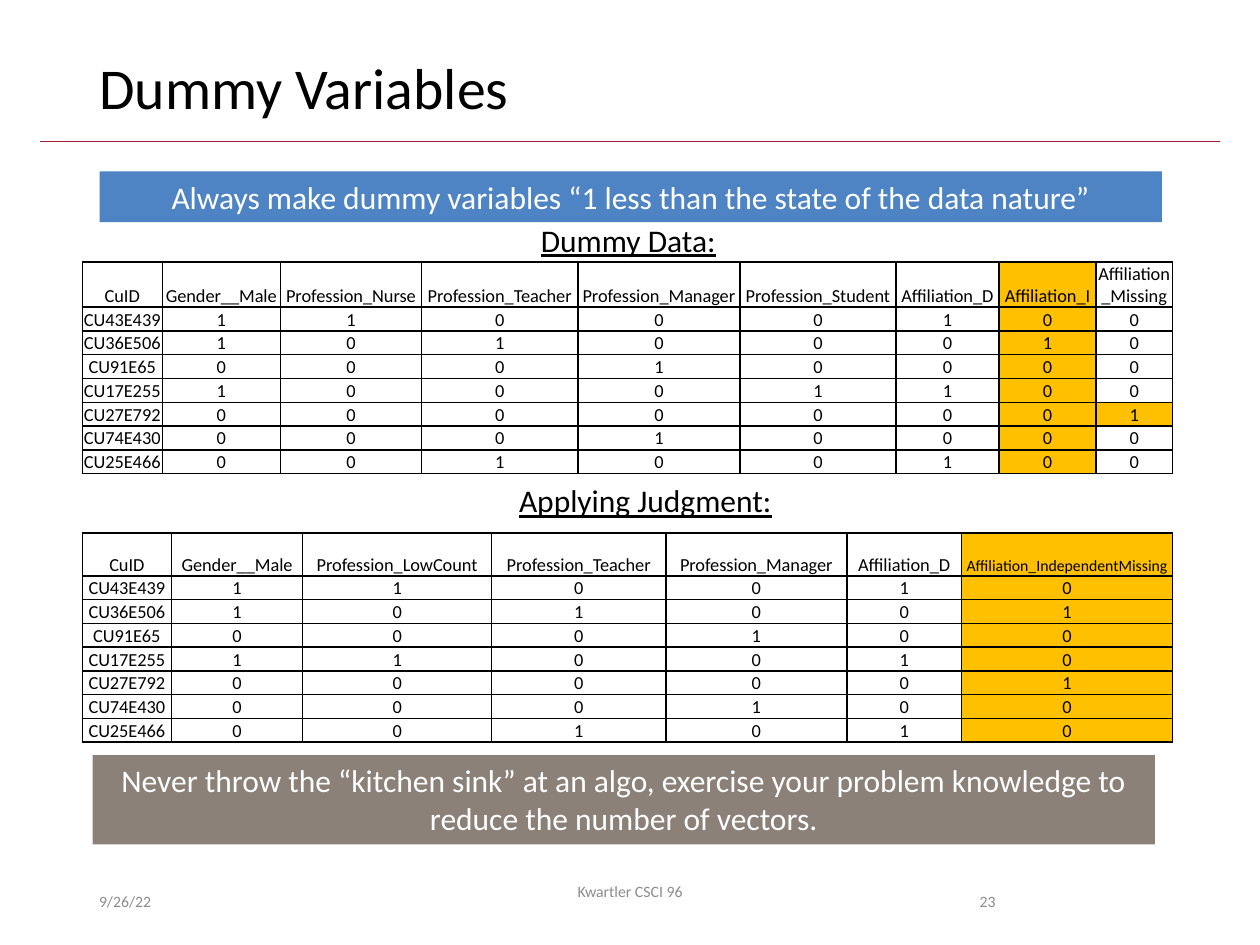
import pptx
import pptx.dml.color
import pptx.enum.shapes
import pptx.enum.text
import pptx.oxml
import pptx.oxml.ns
import pptx.util

Pt = pptx.util.Pt
ALIGN = pptx.enum.text.PP_ALIGN
ANCHOR = pptx.enum.text.MSO_ANCHOR
COLORS = {"black": "000000", "white": "FFFFFF", "gray": "8C8C8C", "rule": "A51C30",
          "blue": "4E84C4", "taupe": "8C8179", "amber": "FFC000"}

TITLE = "Dummy Variables"
# text, fill, left, top, width, height
BANNERS = [
    ("Always make dummy variables “1 less than the state of the data nature”",
     "blue", 57, 98, 607, 29),
    ("Never throw the “kitchen sink” at an algo, exercise your problem knowledge "
     "to reduce the number of vectors.", "taupe", 53, 431.5, 607, 51),
]
# text, left, top, width, height, wrap, anchor, alignment, font
HEADING = {"size": Pt(18), "underline": True}
FOOTER = {"size": Pt(9), "color": "gray"}
LABELS = [
    ("Dummy Data:", 302, 122.5, 116, 29, False, ANCHOR.TOP, ALIGN.LEFT, HEADING),
    ("Applying Judgment:", 289.5, 271.5, 165, 29, False, ANCHOR.TOP, ALIGN.LEFT, HEADING),
    ("9/26/22", 49.5, 500.5, 162, 28.75, True, ANCHOR.MIDDLE, ALIGN.LEFT, FOOTER),
    ("Kwartler CSCI 96", 238.5, 500.5, 243, 28.75, True, ANCHOR.TOP, ALIGN.CENTER, FOOTER),
    ("23", 508.5, 500.5, 67.5, 28.75, True, ANCHOR.MIDDLE, ALIGN.RIGHT, FOOTER),
]
IDS = ["CU43E439", "CU36E506", "CU91E65", "CU17E255", "CU27E792", "CU74E430", "CU25E466"]
# flags: one string per ID, one digit per variable; highlights: (row, column), row None = all
TABLES = [
    {"top": 149.75, "header_height": 25.8,
     "columns": [("CuID", 45.75), ("Gender__Male", 67.5), ("Profession_Nurse", 80.75),
                 ("Profession_Teacher", 89.25), ("Profession_Manager", 92.75),
                 ("Profession_Student", 89), ("Affiliation_D", 59),
                 ("Affiliation_I", 55.5), ("Affiliation_Missing", 43.5)],
     "flags": ["11000100", "10100010", "00010000", "10001100",
               "00000001", "00010000", "00100100"],
     "highlights": [(None, 7), (5, 8)], "small": []},
    {"top": 304.5, "header_height": 24.6,
     "columns": [("CuID", 51), ("Gender__Male", 75), ("Profession_LowCount", 108),
                 ("Profession_Teacher", 99.5), ("Profession_Manager", 103.5),
                 ("Affiliation_D", 65.5), ("Affiliation_IndependentMissing", 120.5)],
     "flags": ["110010", "101001", "000100", "110010", "000001", "000100", "001010"],
     "highlights": [(None, 6)], "small": ["Affiliation_IndependentMissing"]},
]
TABLE_LEFT, ROW_HEIGHT = 47, 13.6
CELL_FORMAT = {"margin_left": Pt(0.6), "margin_right": Pt(0.6), "margin_top": Pt(0.6),
               "margin_bottom": 0, "vertical_anchor": ANCHOR.BOTTOM}


def rgb(name):
    return pptx.dml.color.RGBColor.from_string(COLORS[name])


def apply(target, values):
    for name, value in values.items():
        setattr(target, name, value)


def write(text_frame, text, alignment, color="black", **font_values):
    text_frame.text = text
    paragraph = text_frame.paragraphs[0]
    paragraph.alignment = alignment
    font = paragraph.runs[0].font
    apply(font, {"name": "Calibri", **font_values})
    font.color.rgb = rgb(color)
    return paragraph


def add_borders(cell):
    properties = cell._tc.get_or_add_tcPr()
    for side in ("lnL", "lnR", "lnT", "lnB"):
        properties.append(pptx.oxml.parse_xml(
            f'<a:{side} {pptx.oxml.ns.nsdecls("a")} w="12700"><a:solidFill>'
            f'<a:srgbClr val="{COLORS["black"]}"/></a:solidFill></a:{side}>'))


def add_data_table(slide, top, header_height, columns, flags, highlights, small):
    rows = [[name for name, _ in columns]]
    rows += [[identifier, *digits] for identifier, digits in zip(IDS, flags)]
    heights = [header_height] + [ROW_HEIGHT] * len(IDS)
    widths = [width for _, width in columns]
    table = slide.shapes.add_table(len(rows), len(columns), Pt(TABLE_LEFT), Pt(top),
                                   Pt(sum(widths)), Pt(sum(heights))).table
    apply(table, {"first_row": False, "horz_banding": False})
    for column, width in zip(table.columns, widths):
        column.width = Pt(width)
    for row_index, row in enumerate(rows):
        table.rows[row_index].height = Pt(heights[row_index])
        for column_index, text in enumerate(row):
            cell = table.cell(row_index, column_index)
            apply(cell, CELL_FORMAT)
            add_borders(cell)
            if {(None, column_index), (row_index, column_index)} & set(highlights):
                cell.fill.solid()
                cell.fill.fore_color.rgb = rgb("amber")
            else:
                cell.fill.background()
            write(cell.text_frame, text, ALIGN.CENTER, size=Pt(9 if text in small else 10.5))


def add_banner(slide, text, fill, *box):
    shape = slide.shapes.add_shape(pptx.enum.shapes.MSO_SHAPE.RECTANGLE, *map(Pt, box))
    shape.shadow.inherit = False
    shape.fill.solid()
    shape.fill.fore_color.rgb = rgb(fill)
    shape.line.fill.background()
    apply(shape.text_frame, {"word_wrap": True, "vertical_anchor": ANCHOR.TOP})
    write(shape.text_frame, text, ALIGN.CENTER, "white", size=Pt(18))


def add_label(slide, text, left, top, width, height, wrap, anchor, alignment, font):
    frame = slide.shapes.add_textbox(Pt(left), Pt(top), Pt(width), Pt(height)).text_frame
    apply(frame, {"word_wrap": wrap, "vertical_anchor": anchor})
    write(frame, text, alignment, **font)


def add_rule(slide):
    rule = slide.shapes.add_connector(pptx.enum.shapes.MSO_CONNECTOR.STRAIGHT,
                                      Pt(23), Pt(80.75), Pt(697), Pt(80.75))
    rule.line.color.rgb = rgb("rule")
    rule.line.width = Pt(0.5)
    rule._element.spPr.append(
        pptx.oxml.parse_xml(f'<a:effectLst {pptx.oxml.ns.nsdecls("a")}/>'))


def main():
    presentation = pptx.Presentation()
    apply(presentation, {"slide_width": Pt(720), "slide_height": Pt(540)})
    slide = presentation.slides.add_slide(presentation.slide_layouts.get_by_name("Title Only"))
    title = slide.shapes.title
    apply(title, {"left": Pt(49.5), "top": Pt(28.75), "width": Pt(621), "height": Pt(46.75)})
    title.text_frame.vertical_anchor = ANCHOR.MIDDLE
    write(title.text_frame, TITLE, ALIGN.LEFT, size=Pt(33)).line_spacing = 0.9
    add_rule(slide)
    for banner in BANNERS:
        add_banner(slide, *banner)
    for label in LABELS:
        add_label(slide, *label)
    for table in TABLES:
        add_data_table(slide, **table)
    presentation.save("out.pptx")


if __name__ == "__main__":
    main()
